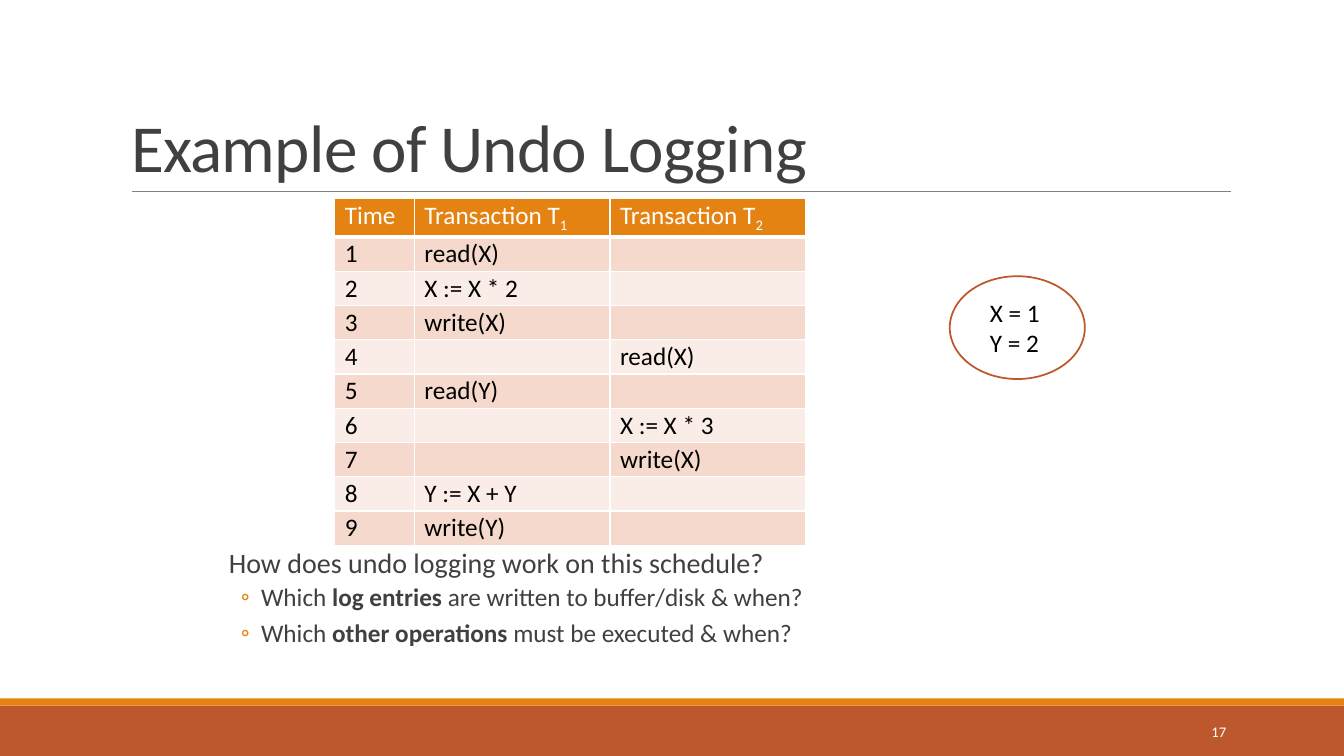
"""Build the slide on undo logging with its schedule table and start values."""
from lxml import etree
from pptx import Presentation
from pptx import util as u
from pptx.dml.color import RGBColor
from pptx.enum import shapes, text
from pptx.oxml.ns import qn

COLORS = {"rust": "BD582C", "orange": "E48312", "grey": "808080", "ink": "404040",
          "black": "000000", "white": "FFFFFF", "odd": "F5D9CC", "even": "FAEDE7"}
FONT = "Calibri"
TITLE = "Example of Undo Logging"
HEADER = [("Time", ""), ("Transaction T", "1"), ("Transaction T", "2")]
STEPS = [("read(X)", ""), ("X := X * 2", ""), ("write(X)", ""), ("", "read(X)"),
         ("read(Y)", ""), ("", "X := X * 3"), ("", "write(X)"),
         ("Y := X + Y", ""), ("write(Y)", "")]
QUESTIONS = [
    (0, [("How does undo logging work on this schedule?", False)]),
    (1, [("Which ", False), ("log entries ", True),
         ("are written to buffer/disk & when?", False)]),
    (1, [("Which ", False), ("other operations ", True),
         ("must be executed & when?", False)]),
]
LEVELS = [
    {"size": 20, "bullet": " ", "left": 0.1, "hang": 0.1, "before": 0, "after": 2},
    {"size": 18, "bullet": "◦", "left": 0.42, "hang": 0.2, "before": 2, "after": 4},
]
START_VALUES = ["X = 1", "Y = 2"]
PAGE_NUMBER = "17"
BANDS = [("rust", (0, 7, 13.33, 0.5)), ("orange", (0, 6.93, 13.33, 0.07))]
COLUMN_WIDTHS = [0.79, 1.94, 1.94]
ROW_HEIGHT = 0.31


def rgb(name):
    return RGBColor.from_string(COLORS[name])


def inches(values):
    return [u.Inches(value) for value in values]


def set_all(target, **values):
    for name, value in values.items():
        setattr(target, name, value)


def add_span(para, words, size, color, bold=False):
    span = para.add_run()
    span.text = words
    set_all(span.font, name=FONT, size=u.Pt(size), bold=bold)
    span.font.color.rgb = rgb(color)
    return span


def add_box(page, place, **frame_format):
    frame = page.shapes.add_textbox(*inches(place)).text_frame
    set_all(frame, **{"word_wrap": True, **frame_format})
    return frame


def next_para(frame, index):
    return frame.add_paragraph() if index else frame.paragraphs[0]


def add_bullet(para, style):
    props = para._p.get_or_add_pPr()
    props.set("marL", str(u.Inches(style["left"])))
    props.set("indent", str(-u.Inches(style["hang"])))
    tint = etree.SubElement(props, qn("a:buClr"))
    etree.SubElement(tint, qn("a:srgbClr"), val=COLORS["orange"])
    etree.SubElement(props, qn("a:buFont"), typeface=FONT)
    etree.SubElement(props, qn("a:buChar"), char=style["bullet"])


def add_borders(cell, header):
    props = cell._tc.get_or_add_tcPr()
    for edge in ("lnL", "lnR", "lnT", "lnB"):
        width = u.Pt(3 if header and edge == "lnB" else 1)
        line = etree.SubElement(props, qn(f"a:{edge}"), w=str(width))
        fill = etree.SubElement(line, qn("a:solidFill"))
        etree.SubElement(fill, qn("a:srgbClr"), val=COLORS["white"])


def add_frame(page):
    for color, place in BANDS:
        band = page.shapes.add_shape(shapes.MSO_SHAPE.RECTANGLE, *inches(place))
        band.shadow.inherit = False
        band.fill.solid()
        band.fill.fore_color.rgb = rgb(color)
        band.line.fill.background()
    rule = page.shapes.add_connector(shapes.MSO_CONNECTOR.STRAIGHT,
                                     *inches((1.31, 1.9, 12.21, 1.9)))
    rule.line.color.rgb = rgb("grey")
    rule.line.width = u.Pt(0.5)
    etree.SubElement(rule._element.spPr, qn("a:effectLst"))
    frame = add_box(page, (10.83, 7.06, 1.43, 0.4),
                    vertical_anchor=text.MSO_ANCHOR.MIDDLE)
    para = frame.paragraphs[0]
    para.alignment = text.PP_ALIGN.RIGHT
    add_span(para, PAGE_NUMBER, 10.5, "white")


def add_title(page):
    title = page.shapes.title
    left, top, width, height = inches((1.2, 0.31, 11, 1.59))
    set_all(title, left=left, top=top, width=width, height=height)
    set_all(title.text_frame, word_wrap=True, auto_size=text.MSO_AUTO_SIZE.NONE,
            vertical_anchor=text.MSO_ANCHOR.BOTTOM)
    para = title.text_frame.paragraphs[0]
    set_all(para, alignment=text.PP_ALIGN.LEFT, line_spacing=0.85)
    span = add_span(para, TITLE, 48, "ink")
    span.font._element.set("spc", "-50")


def add_questions(page):
    frame = add_box(page, (2.17, 5.4, 9, 1.65), margin_left=0, margin_right=0)
    for index, (level, spans) in enumerate(QUESTIONS):
        style = LEVELS[level]
        para = next_para(frame, index)
        add_bullet(para, style)
        set_all(para, level=level, line_spacing=0.9,
                space_before=u.Pt(style["before"]), space_after=u.Pt(style["after"]))
        for words, bold in spans:
            add_span(para, words, style["size"], "ink", bold)


def add_schedule(page):
    rows = [HEADER] + [[(str(time), "")] + [(action, "") for action in step]
                       for time, step in enumerate(STEPS, 1)]
    place = (3.32, 1.97, sum(COLUMN_WIDTHS), ROW_HEIGHT * len(rows))
    table = page.shapes.add_table(len(rows), len(HEADER), *inches(place)).table
    for column, width in zip(table.columns, COLUMN_WIDTHS):
        column.width = u.Inches(width)
    for row_index, row in enumerate(rows):
        table.rows[row_index].height = u.Inches(ROW_HEIGHT)
        header = row_index == 0
        fill = "orange" if header else ("even", "odd")[row_index % 2]
        for column_index, (words, subscript) in enumerate(row):
            cell = table.cell(row_index, column_index)
            set_all(cell, margin_top=u.Inches(0.02), margin_bottom=u.Inches(0.02))
            add_borders(cell, header)
            cell.fill.solid()
            cell.fill.fore_color.rgb = rgb(fill)
            para = cell.text_frame.paragraphs[0]
            color = "white" if header else "black"
            if words:
                add_span(para, words, 18, color)
            if subscript:
                span = add_span(para, subscript, 18, color)
                span.font._element.set("baseline", "-25000")


def add_start_values(page):
    frame = add_box(page, (9.72, 2.9, 0.7, 0.71), word_wrap=False,
                    auto_size=text.MSO_AUTO_SIZE.SHAPE_TO_FIT_TEXT)
    for index, words in enumerate(START_VALUES):
        add_span(next_para(frame, index), words, 18, "black")
    ring = page.shapes.add_shape(shapes.MSO_SHAPE.OVAL,
                                 *inches((9.42, 2.74, 1.34, 1.02)))
    ring.shadow.inherit = False
    ring.fill.background()
    ring.line.color.rgb = rgb("rust")
    ring.line.width = u.Pt(1.25)


def main():
    deck = Presentation()
    set_all(deck, slide_width=u.Inches(13.33), slide_height=u.Inches(7.5))
    page = deck.slides.add_slide(deck.slide_layouts[5])
    for add_part in (add_frame, add_title, add_questions, add_schedule,
                     add_start_values):
        add_part(page)
    deck.save("out.pptx")


if __name__ == "__main__":
    main()
